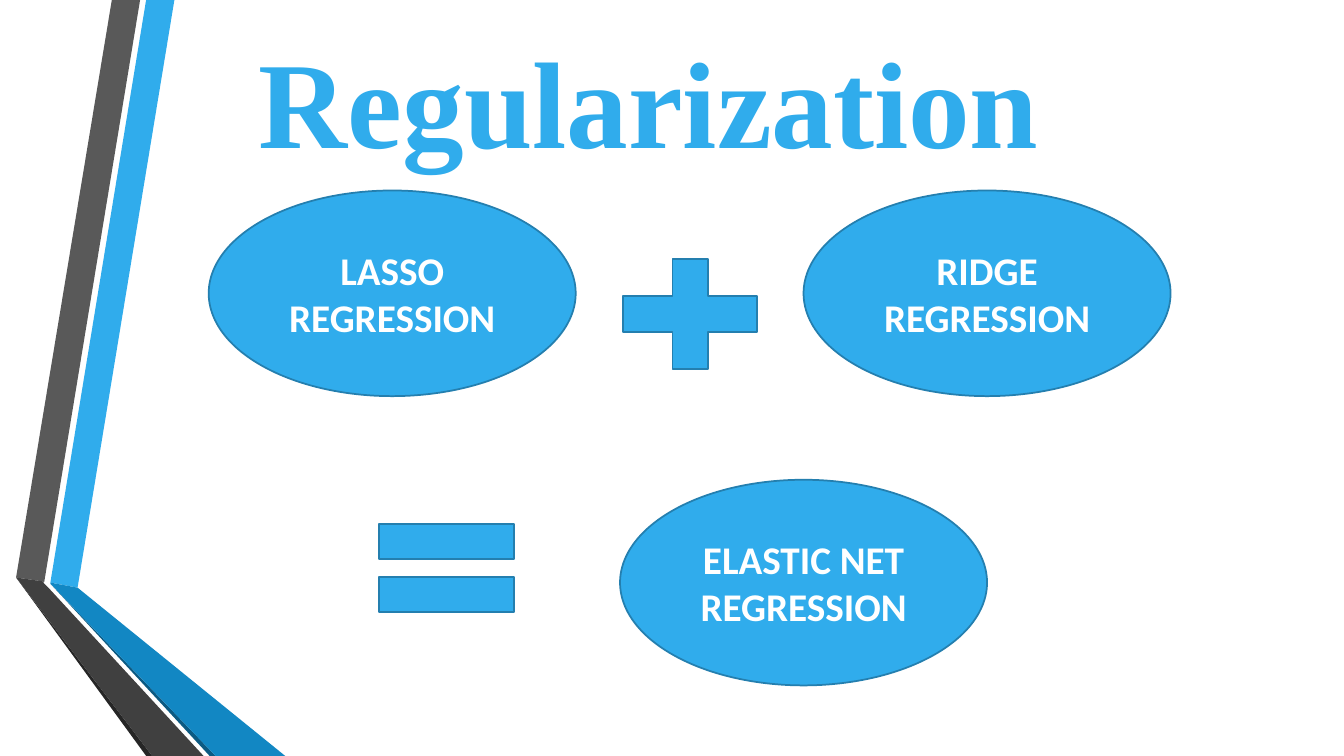
from dataclasses import dataclass

from pptx import Presentation
from pptx.dml.color import RGBColor
from pptx.enum.shapes import MSO_SHAPE as Preset
from pptx.enum.text import MSO_ANCHOR as Anchor, PP_ALIGN as Align
from pptx.util import Inches, Pt


@dataclass(frozen=True)
class Theme:
    blue: str = "30ACEC"
    outline: str = "247FAF"
    deep_blue: str = "1287C3"
    navy: str = "0C5A82"
    gray: str = "595959"
    dark_gray: str = "404040"
    near_black: str = "262626"
    white: str = "FFFFFF"
    title_font: str = "Times New Roman"
    label_font: str = "Calibri"
    title_size: int = 88
    label_size: int = 28
    outline_width: float = 1.25


THEME = Theme()
TERM_SIZE = (3.64, 2.04)
RIBBONS = [
    (THEME.blue, [(0.5, 5.78), (0.77, 5.83), (1.73, 0), (1.45, 0)]),
    (THEME.gray, [(1.39, 0), (1.11, 0), (0.16, 5.73), (0.44, 5.77)]),
    (THEME.near_black, [(0.16, 5.73), (1.45, 7.5), (1.51, 7.5)]),
    (THEME.navy, [(0.5, 5.79), (2.08, 7.5), (2.14, 7.5)]),
    (THEME.deep_blue, [(0.5, 5.79), (2.14, 7.5), (2.83, 7.5), (0.77, 5.83), (0.5, 5.78)]),
    (THEME.dark_gray, [(2.02, 7.5), (0.48, 5.83), (0.43, 5.78), (0.44, 5.77),
                       (0.16, 5.73), (1.51, 7.5)]),
]
TERMS = [
    ("LASSO REGRESSION", 2.07, 1.89),
    ("RIDGE REGRESSION", 7.97, 1.89),
    ("ELASTIC NET REGRESSION", 6.15, 4.76),
]


def paint(shape, fill, outline=None):
    shape.shadow.inherit = False
    shape.fill.solid()
    shape.fill.fore_color.rgb = RGBColor.from_string(fill)
    if outline:
        shape.line.color.rgb = RGBColor.from_string(outline)
        shape.line.width = Pt(THEME.outline_width)
    else:
        shape.line.fill.background()


def write(shape, text, *, font, size, color, align=Align.LEFT, anchor=Anchor.TOP):
    frame = shape.text_frame
    frame.word_wrap = True
    frame.vertical_anchor = anchor
    paragraph = frame.paragraphs[0]
    paragraph.alignment = align
    run = paragraph.add_run()
    run.text = text
    run.font.name = font
    run.font.size = Pt(size)
    run.font.bold = True
    run.font.color.rgb = RGBColor.from_string(color)


def add_ribbon(slide, color, points):
    corners = [(Inches(x), Inches(y)) for x, y in points]
    builder = slide.shapes.build_freeform(*corners[0])
    builder.add_line_segments(corners[1:], close=True)
    paint(builder.convert_to_shape(), color)


def add_figure(slide, preset, left, top, width, height):
    figure = slide.shapes.add_shape(
        preset, Inches(left), Inches(top), Inches(width), Inches(height))
    paint(figure, THEME.blue, THEME.outline)
    return figure


def add_term(slide, text, left, top):
    term = add_figure(slide, Preset.OVAL, left, top, *TERM_SIZE)
    write(term, text, font=THEME.label_font, size=THEME.label_size,
          color=THEME.white, align=Align.CENTER, anchor=Anchor.MIDDLE)


def add_title(slide, text):
    title = slide.shapes.add_textbox(
        Inches(2.47), Inches(0.2), Inches(10.14), Inches(1.58))
    write(title, text, font=THEME.title_font, size=THEME.title_size, color=THEME.blue)


def main():
    deck = Presentation()
    deck.slide_width, deck.slide_height = Inches(13.33), Inches(7.5)
    slide = deck.slides.add_slide(deck.slide_layouts[6])

    # Folded ribbons along the left edge
    for color, points in RIBBONS:
        add_ribbon(slide, color, points)

    add_title(slide, "Regularization")

    # Equation: lasso + ridge = elastic net
    for text, left, top in TERMS:
        add_term(slide, text, left, top)
    add_figure(slide, Preset.MATH_PLUS, 5.94, 2.37, 1.81, 1.49)
    equals = add_figure(slide, Preset.MATH_EQUAL, 3.52, 4.89, 1.82, 1.49)
    equals.rotation = 180

    deck.save("out.pptx")


main()
